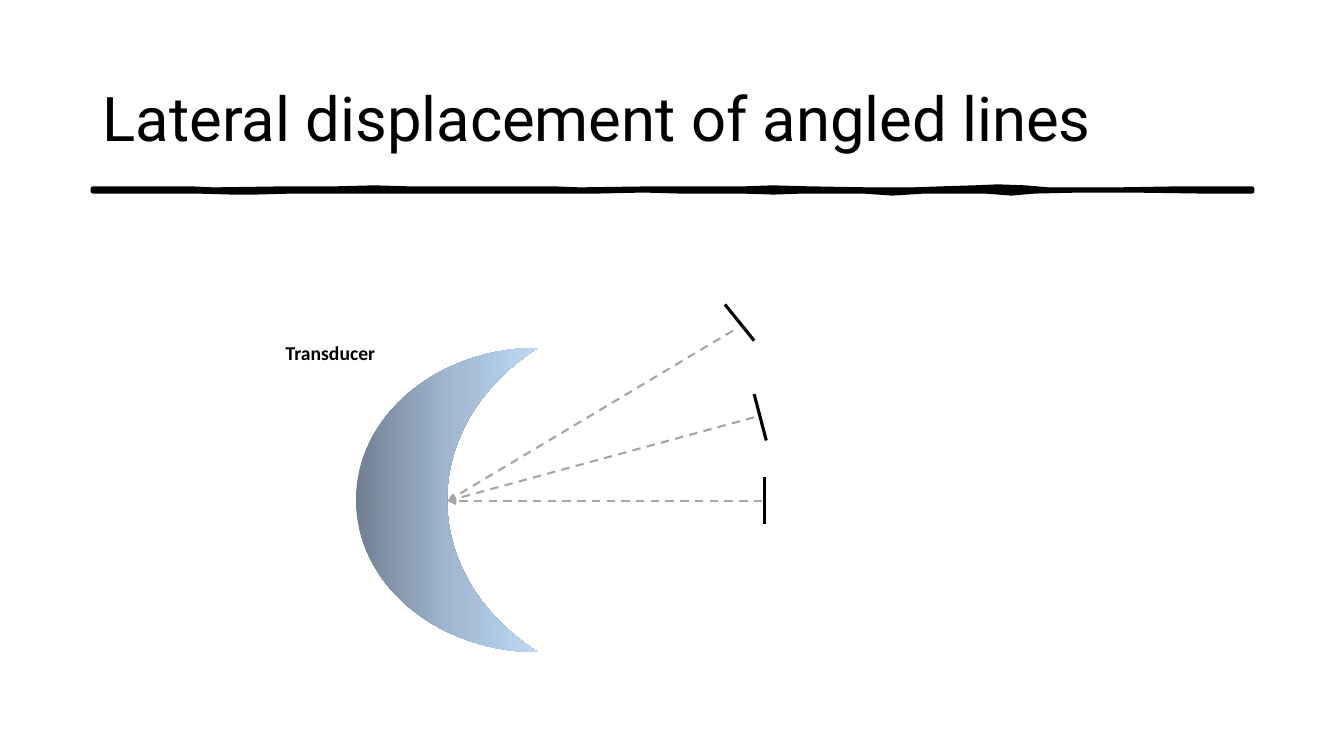
from copy import deepcopy
from dataclasses import dataclass

from lxml import etree
from pptx import Presentation
from pptx import util as u
from pptx.dml.color import RGBColor
from pptx.enum import dml, shapes, text
from pptx.oxml.ns import qn
from pptx.shapes.connector import Connector
from pptx.slide import Slide
from pptx.text.text import TextFrame

PX = 9144  # EMU: 100 px to the inch
Point = tuple[int, int]


@dataclass(frozen=True)
class Theme:
    ink: str = "000000"
    beam: str = "A6A6A6"
    moon: tuple[str, ...] = ("708091", "9FB6CF", "BDD8F6")
    title_font: str = "Roboto"
    label_font: str = "Calibri"
    title_size: int = 44
    label_size: int = 14
    rule_width: float = 3
    target_width: float = 2.25
    beam_width: float = 1.5


@dataclass(frozen=True)
class Target:
    """A reflecting line and the point where its echo starts."""
    top: Point
    bottom: Point
    echo: Point


THEME = Theme()
FOCUS = (444, 497)
TARGETS = (
    Target((758, 473), (758, 520), (756, 497)),
    Target((748, 391), (760, 437), (748, 414)),
    Target((719, 302), (748, 338), (727, 328)),
)
RULE_TOP = (
    (92, 187), (141, 187), (189, 187), (212, 188), (284, 187), (333, 187),
    (371, 186), (405, 187), (465, 187), (500, 187), (549, 187), (575, 188),
    (647, 187), (680, 187), (739, 187), (766, 186), (802, 187), (862, 188),
    (905, 188), (934, 187), (966, 186), (990, 185), (1017, 186), (1040, 188),
    (1109, 188), (1170, 187), (1242, 187),
)
RULE_BOTTOM = (
    (1242, 190), (1193, 190), (1121, 189), (1072, 189), (1026, 190),
    (1003, 192), (977, 190), (917, 190), (885, 192), (856, 190), (796, 190),
    (767, 191), (736, 190), (675, 190), (638, 189), (592, 190), (520, 190),
    (483, 190), (422, 190), (373, 190), (339, 190), (290, 190), (253, 191),
    (230, 191), (195, 190), (166, 190), (92, 190),
)


def rgb(value: str) -> RGBColor:
    return RGBColor.from_string(value)


def box(*lengths: int) -> list[u.Emu]:
    return [u.Emu(n * PX) for n in lengths]


def write(tf: TextFrame, words: str, font: str, size: int, bold: bool) -> None:
    tf.text = words
    f = tf.paragraphs[0].font
    f.name, f.size, f.bold = font, u.Pt(size), bold
    f.color.rgb = rgb(THEME.ink)


def add_title(s: Slide, words: str) -> None:
    sp = s.shapes.title
    sp.left, sp.top, sp.width, sp.height = box(92, 40, 1150, 145)
    tf = sp.text_frame
    write(tf, words, THEME.title_font, THEME.title_size, False)
    tf.auto_size = text.MSO_AUTO_SIZE.NONE
    tf.vertical_anchor = text.MSO_ANCHOR.MIDDLE
    tf.paragraphs[0].alignment = text.PP_ALIGN.LEFT
    tf.paragraphs[0].line_spacing = 1.1


def add_rule(s: Slide) -> None:
    """Draw the uneven, hand-drawn rule under the title."""
    builder = s.shapes.build_freeform(*RULE_TOP[0], scale=PX)
    builder.add_line_segments(RULE_TOP[1:] + RULE_BOTTOM, close=True)
    sp = builder.convert_to_shape()
    sp.shadow.inherit = False
    sp.fill.solid()
    sp.fill.fore_color.rgb = rgb(THEME.ink)
    sp.line.color.rgb = rgb(THEME.ink)
    sp.line.width = u.Pt(THEME.rule_width)


def add_transducer(s: Slide) -> None:
    sp = s.shapes.add_shape(shapes.MSO_SHAPE.MOON, *box(353, 345, 181, 302))
    sp.shadow.inherit = False
    sp.line.fill.background()
    sp.fill.gradient()
    sp.fill.gradient_angle = 0
    stops = next(sp.element.iter(qn("a:gsLst")))
    stops.append(deepcopy(stops[0]))
    for i, (stop, color) in enumerate(zip(sp.fill.gradient_stops, THEME.moon)):
        stop.position = i / 2
        stop.color.rgb = rgb(color)


def add_line(s: Slide, start: Point, end: Point, color: str, width: float) -> Connector:
    c = s.shapes.add_connector(shapes.MSO_CONNECTOR.STRAIGHT, *box(*start, *end))
    c.line.color.rgb = rgb(color)
    c.line.width = u.Pt(width)
    etree.SubElement(c.element.spPr, qn("a:effectLst"))
    return c


def add_target(s: Slide, target: Target) -> None:
    add_line(s, target.top, target.bottom, THEME.ink, THEME.target_width)
    beam = add_line(s, target.echo, FOCUS, THEME.beam, THEME.beam_width)
    beam.line.dash_style = dml.MSO_LINE.DASH
    etree.SubElement(beam.element.spPr.find(qn("a:ln")), qn("a:tailEnd"), type="triangle")


def add_label(s: Slide, words: str) -> None:
    tf = s.shapes.add_textbox(*box(264, 333, 118, 34)).text_frame
    tf.word_wrap = True
    write(tf, words, THEME.label_font, THEME.label_size, True)
    tf.paragraphs[0].alignment = text.PP_ALIGN.RIGHT


def main() -> None:
    prs = Presentation()
    prs.slide_width, prs.slide_height = box(1333, 750)
    s = prs.slides.add_slide(prs.slide_layouts.get_by_name("Title Only"))
    add_rule(s)
    add_title(s, "Lateral displacement of angled lines")
    add_transducer(s)
    for target in TARGETS:
        add_target(s, target)
    add_label(s, "Transducer")
    prs.save("out.pptx")


if __name__ == "__main__":
    main()
